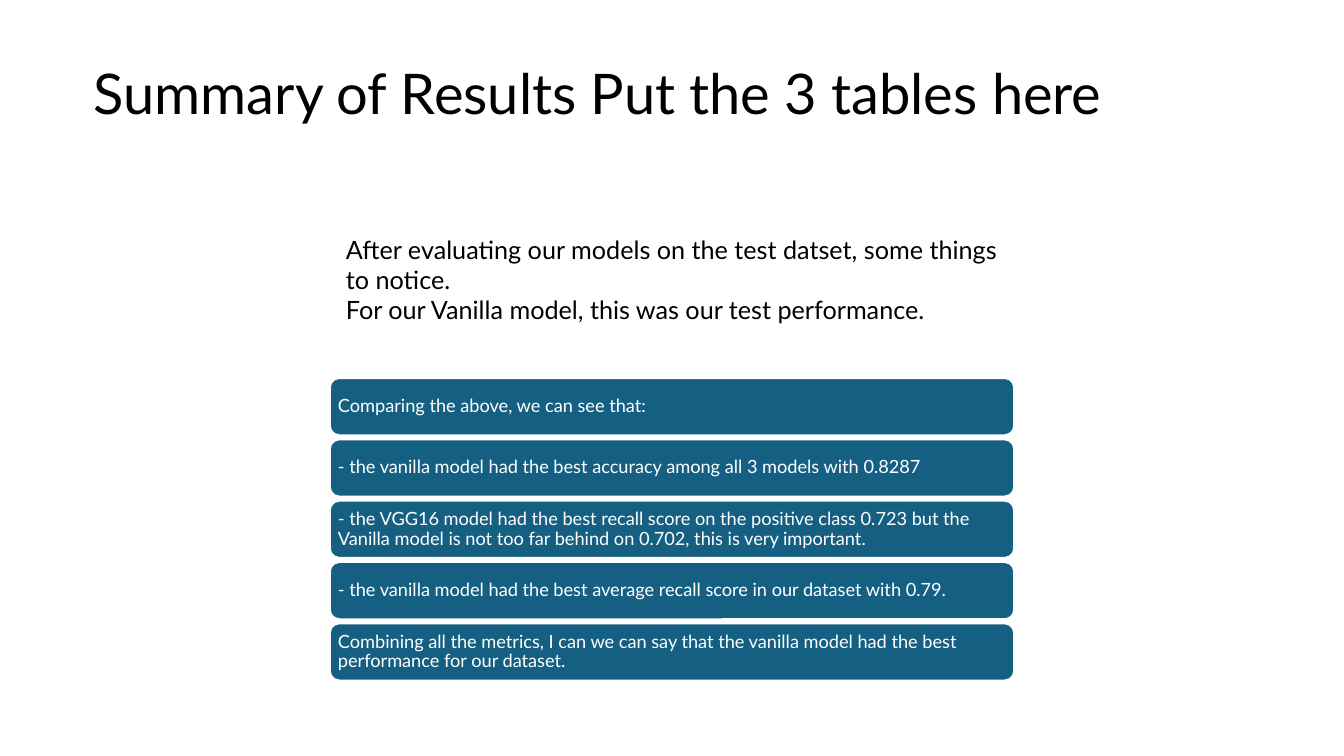
from pptx import Presentation
from pptx.dml.color import RGBColor
from pptx.enum.shapes import MSO_SHAPE as Shape
from pptx.enum.text import MSO_ANCHOR as Anchor, PP_ALIGN as Align
from pptx.util import Pt

FONT = "Lato"
INTRO = [
    "After evaluating our models on the test datset, some things to notice.",
    "For our Vanilla model, this was our test performance.",
]
POINTS = [
    "Comparing the above, we can see that:",
    "- the vanilla model had the best accuracy among all 3 models with 0.8287",
    "- the VGG16 model had the best recall score on the positive class 0.723 "
    "but the Vanilla model is not too far behind on 0.702, this is very important.",
    "- the vanilla model had the best average recall score in our dataset with 0.79.",
    "Combining all the metrics, I can we can say that the vanilla model had "
    "the best performance for our dataset.",
]


def paint(color, code):
    """Set a colour from a hex string."""
    color.rgb = RGBColor.from_string(code)


def write(frame, lines, size, code, anchor=Anchor.TOP, space=1.0):
    """Fill a text frame with one paragraph per line."""
    frame.word_wrap = True
    frame.vertical_anchor = anchor
    for i, line in enumerate(lines):
        para = frame.add_paragraph() if i else frame.paragraphs[0]
        para.alignment = Align.LEFT
        para.line_spacing = space
        run = para.add_run()
        run.text = line
        run.font.name = FONT
        run.font.size = Pt(size)
        paint(run.font.color, code)


def add_text(slide, box, lines, size, **style):
    """Add a text box with black text."""
    shape = slide.shapes.add_textbox(*map(Pt, box))
    write(shape.text_frame, lines, size, "000000", **style)


def add_bar(slide, box, line):
    """Add a rounded bar holding one finding."""
    bar = slide.shapes.add_shape(Shape.ROUNDED_RECTANGLE, *map(Pt, box))
    bar.shadow.inherit = False
    bar.fill.solid()
    paint(bar.fill.fore_color, "156082")
    paint(bar.line.color, "FFFFFF")
    bar.line.width = Pt(1.5)
    frame = bar.text_frame
    frame.margin_left = frame.margin_right = Pt(3.9)
    frame.margin_top = frame.margin_bottom = Pt(3.9)
    write(frame, [line], 13, "FFFFFF", Anchor.MIDDLE, 0.9)


def main():
    """Build the summary slide."""
    deck = Presentation()
    deck.slide_width, deck.slide_height = Pt(960), Pt(540)
    slide = deck.slides.add_slide(deck.slide_layouts[6])
    add_text(slide, (60, 28, 834, 81), ["Summary of Results Put the 3 tables here"],
             40, anchor=Anchor.MIDDLE, space=0.9)
    add_text(slide, (240, 163.5, 480, 72.7), INTRO, 18)
    for i, line in enumerate(POINTS):
        add_bar(slide, (235.5, 270 + 43.8 * i, 489, 41), line)
    deck.save("out.pptx")


if __name__ == "__main__":
    main()
